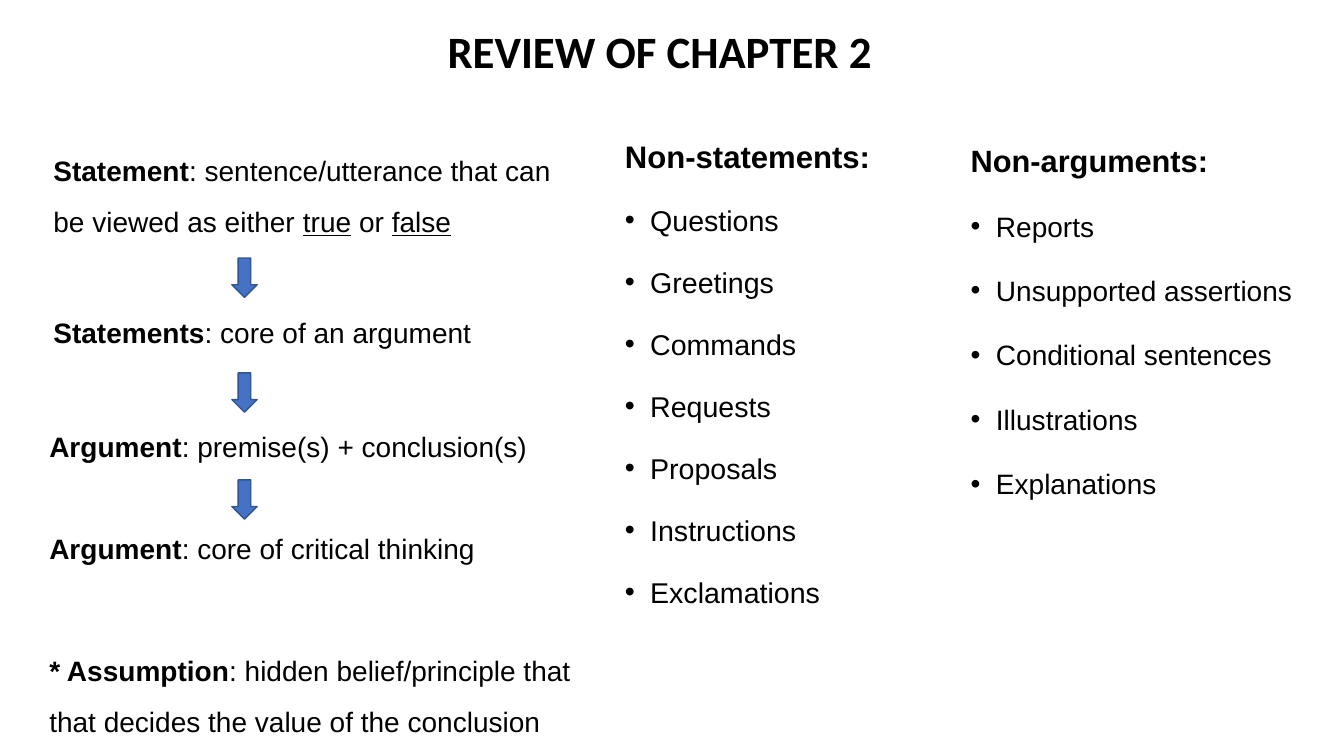
import pptx
import pptx.dml.color
import pptx.enum.shapes
import pptx.enum.text
import pptx.oxml.ns
import pptx.util
from lxml import etree

WIDTH, HEIGHT = 13.33, 7.5
BLACK, BLUE, NAVY = "000000", "4472C4", "325491"
GROW = pptx.enum.text.MSO_AUTO_SIZE.SHAPE_TO_FIT_TEXT
FIXED = pptx.enum.text.MSO_AUTO_SIZE.NONE

DEFINITIONS = [
    ((3.23, 17.47, 39.23, 14), 1.5, [
        ("Statement", {"bold": True}),
        (": sentence/utterance that can be viewed as either ", {}),
        ("true", {"underline": True}),
        (" or ", {}),
        ("false", {"underline": True})]),
    ((3.23, 41.6, 39.23, 5.33), 0.9, [
        ("Statements", {"bold": True}), (": core of an argument", {})]),
    ((2.93, 56.67, 45.91, 5.33), 0.9, [
        ("Argument", {"bold": True}), (": premise(s) + conclusion(s)", {})]),
    ((2.93, 70.13, 45.91, 5.33), 0.9, [
        ("Argument", {"bold": True}), (": core of critical thinking", {})]),
    ((2.93, 83.6, 42.54, 14), 1.5, [
        ("* Assumption", {"bold": True}),
        (": hidden belief/principle that that decides the value of the conclusion", {})]),
]
LISTS = [
    ((45.76, 15.6, 28.81, 66), 1.4, 22.2, 20.4, "Non-statements:",
     ["Questions", "Greetings", "Commands", "Requests", "Proposals",
      "Instructions", "Exclamations"]),
    ((71.49, 15.6, 27.53, 63.47), 1.5, 22, 20, "Non-arguments:",
     ["Reports", "Unsupported assertions", "Conditional sentences",
      "Illustrations", "Explanations"]),
]
ARROW_TOPS = [34.13, 49.33, 63.47]


def color(value):
    return pptx.dml.color.RGBColor.from_string(value)


def area(left, top, width, height):
    x, y = WIDTH / 100, HEIGHT / 100
    return [pptx.util.Inches(n) for n in (left * x, top * y, width * x, height * y)]


def set_attrs(obj, values):
    for name, value in values.items():
        setattr(obj, name, value)


def add_run(p, text, size, font="Arial", **extra):
    r = p.add_run()
    r.text = text
    values = {"name": font, "size": pptx.util.Pt(size), "bold": False}
    set_attrs(r.font, values | extra)
    r.font.color.rgb = color(BLACK)


def add_bullet(p):
    pPr = p._p.get_or_add_pPr()
    indent = pptx.util.Inches(0.25)
    pPr.set("marL", str(indent))
    pPr.set("indent", str(-indent))
    for tag, name, value in (("a:buFont", "typeface", "Arial"), ("a:buChar", "char", "•")):
        etree.SubElement(pPr, pptx.oxml.ns.qn(tag)).set(name, value)


def add_title(slide, text):
    sp = slide.shapes.title
    set_attrs(sp, dict(zip(("left", "top", "width", "height"),
                           area(32.03, 2.53, 34.13, 8.53))))
    tf = sp.text_frame
    set_attrs(tf, {"word_wrap": True, "auto_size": GROW,
                   "vertical_anchor": pptx.enum.text.MSO_ANCHOR.TOP})
    p = tf.paragraphs[0]
    p.alignment = pptx.enum.text.PP_ALIGN.CENTER
    add_run(p, text, 32, "Calibri", bold=True)


def add_text_frame(slide, box, fit):
    tf = slide.shapes.add_textbox(*area(*box)).text_frame
    set_attrs(tf, {"word_wrap": True, "auto_size": fit})
    return tf


def add_definition(slide, box, spacing, runs):
    p = add_text_frame(slide, box, GROW).paragraphs[0]
    p.line_spacing = spacing
    for text, extra in runs:
        add_run(p, text, 20, **extra)


def add_list(slide, box, spacing, head_size, item_size, heading, items):
    tf = add_text_frame(slide, box, FIXED)
    p = tf.paragraphs[0]
    p.line_spacing = spacing
    add_run(p, heading, head_size, bold=True)
    for item in items:
        p = tf.add_paragraph()
        add_bullet(p)
        set_attrs(p, {"line_spacing": spacing, "space_before": pptx.util.Pt(10)})
        add_run(p, item, item_size)


def add_down_arrow(slide, top):
    sp = slide.shapes.add_shape(pptx.enum.shapes.MSO_SHAPE.DOWN_ARROW,
                                *area(17.25, top, 1.88, 5.2))
    sp.shadow.inherit = False
    sp.fill.solid()
    sp.fill.fore_color.rgb = color(BLUE)
    sp.line.color.rgb = color(NAVY)
    sp.line.width = pptx.util.Pt(1)


def main():
    prs = pptx.Presentation()
    set_attrs(prs, {"slide_width": pptx.util.Inches(WIDTH),
                    "slide_height": pptx.util.Inches(HEIGHT)})
    slide = prs.slides.add_slide(prs.slide_layouts.get_by_name("Title Only"))
    add_title(slide, "REVIEW OF CHAPTER 2")
    for definition in DEFINITIONS:
        add_definition(slide, *definition)
    for column in LISTS:
        add_list(slide, *column)
    for top in ARROW_TOPS:
        add_down_arrow(slide, top)
    prs.save("out.pptx")


if __name__ == "__main__":
    main()
